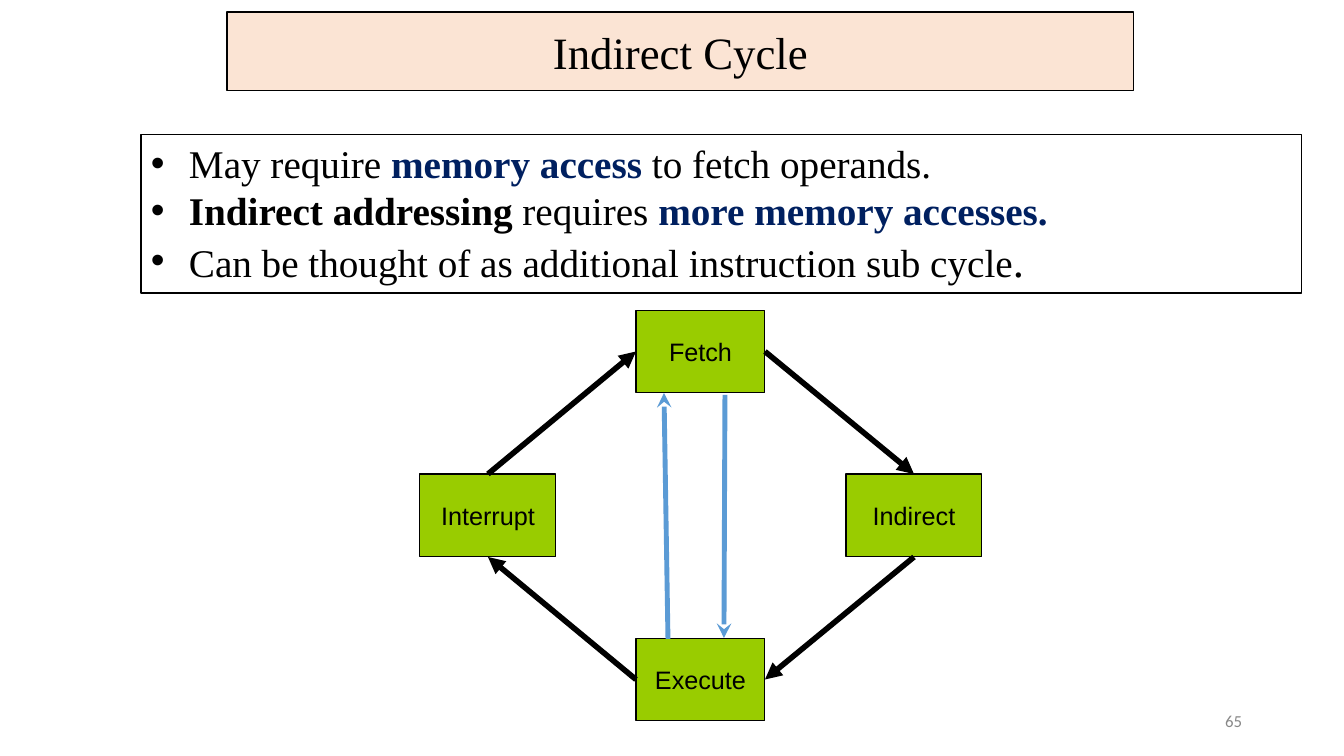
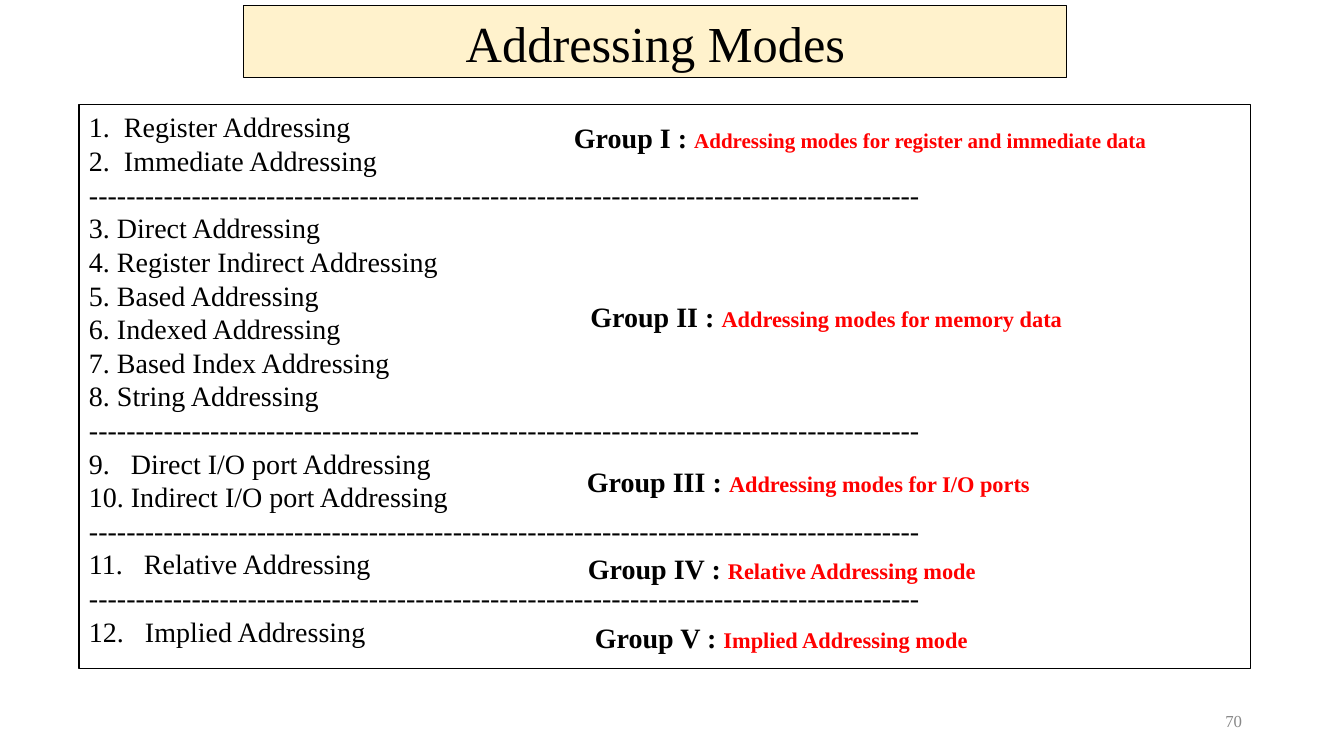
from dataclasses import dataclass
from typing import NamedTuple

from lxml.etree import SubElement
from pptx import Presentation
from pptx.dml.color import RGBColor
from pptx.enum.shapes import MSO_CONNECTOR as Connector, MSO_SHAPE as Shape
from pptx.enum.text import MSO_ANCHOR as Anchor, PP_ALIGN as Align
from pptx.oxml.ns import qn
from pptx.util import Emu, Pt

EMU_PER_PX = 914400 / 100.8
TOP, LEFT, BOTTOM, RIGHT = range(4)


@dataclass(frozen=True)
class Theme:
    ink: str = "000000"
    navy: str = "002060"
    red: str = "FF0000"
    grey: str = "888888"
    peach: str = "FBE4D4"
    cream: str = "FFF2CC"
    green: str = "99CC00"
    blue: str = "5B9BD5"
    serif: str = "Times New Roman"
    sans: str = "Arial"
    footer_font: str = "Calibri"
    bullet_size: int = 28
    list_size: int = 20
    node_size: int = 18
    footer_size: int = 12
    leading: float = 1.2
    outline: float = 0.75
    cycle_line: float = 4
    direct_line: float = 3.5


THEME = Theme()


class Box(NamedTuple):
    x: int
    y: int
    w: int
    h: int

    def inner(self, dx, dy, w, h):
        return Box(self.x + dx, self.y + dy, w, h)


@dataclass
class Style:
    size: int
    color: str = THEME.ink
    bold: bool = False
    font: str = THEME.serif


def px(length):
    return Emu(round(length * EMU_PER_PX))


def rgb(value):
    return RGBColor.from_string(value)


def write(paragraph, runs, align=Align.LEFT, margin=0, indent=0):
    """Fill a paragraph with (text, Style) runs; margin and indent are in px."""
    paragraph.alignment = align
    paragraph.line_spacing = Pt(THEME.leading * max(style.size for _, style in runs))
    for text, style in runs:
        run = paragraph.add_run()
        run.text = text
        run.font.name = style.font
        run.font.size = Pt(style.size)
        run.font.bold = style.bold
        run.font.color.rgb = rgb(style.color)
    properties = paragraph._p.get_or_add_pPr()
    properties.set("marL", str(px(margin)))
    properties.set("indent", str(px(indent)))
    return properties


def add_bullet(properties):
    SubElement(properties, qn("a:buFont"), typeface=THEME.sans)
    SubElement(properties, qn("a:buChar"), char="•")


def add_number(properties, start):
    SubElement(properties, qn("a:buFont"), typeface=THEME.serif)
    SubElement(properties, qn("a:buAutoNum"), type="arabicPeriod", startAt=str(start))


def next_paragraph(frame, index):
    return frame.add_paragraph() if index else frame.paragraphs[0]


def add_panel(slide, box, fill=None, anchor=Anchor.TOP):
    panel = slide.shapes.add_shape(Shape.RECTANGLE, *map(px, box))
    panel.shadow.inherit = False
    if fill:
        panel.fill.solid()
        panel.fill.fore_color.rgb = rgb(fill)
    else:
        panel.fill.background()
    panel.line.color.rgb = rgb(THEME.ink)
    panel.line.width = Pt(THEME.outline)
    panel.text_frame.word_wrap = True
    panel.text_frame.vertical_anchor = anchor
    return panel


def add_caption_panel(slide, box, text, fill, style):
    panel = add_panel(slide, box, fill, Anchor.MIDDLE)
    write(panel.text_frame.paragraphs[0], [(text, style)], Align.CENTER)
    return panel


def add_label(slide, box, runs, anchor=Anchor.TOP, **layout):
    frame = slide.shapes.add_textbox(*map(px, box)).text_frame
    frame.word_wrap = True
    frame.vertical_anchor = anchor
    write(frame.paragraphs[0], runs, **layout)


def add_page_number(slide, number, font):
    style = Style(THEME.footer_size, THEME.grey, font=font)
    add_label(slide, Box(950, 701, 302, 40), [(number, style)],
              Anchor.MIDDLE, align=Align.RIGHT)


def add_arrow(slide, ends, color, width, head):
    arrow = slide.shapes.add_connector(Connector.STRAIGHT, *map(px, ends))
    arrow.line.color.rgb = rgb(color)
    arrow.line.width = Pt(width)
    SubElement(arrow.line._get_or_add_ln(), qn("a:tailEnd"), type=head)
    SubElement(arrow._element.spPr, qn("a:effectLst"))
    return arrow


def add_operand_notes(slide, box):
    plain = Style(THEME.bullet_size)
    strong = Style(THEME.bullet_size, bold=True)
    key = Style(THEME.bullet_size, THEME.navy, True)
    notes = [
        [("May require ", plain), ("memory access ", key), ("to fetch operands.", plain)],
        [("Indirect addressing ", strong), ("requires ", plain),
         ("more memory accesses.", key)],
        [("Can be thought of as additional instruction sub cycle", plain),
         (".", Style(32))],
    ]
    frame = add_panel(slide, box).text_frame
    for index, runs in enumerate(notes):
        add_bullet(write(next_paragraph(frame, index), runs, Align.JUSTIFY, 38, -38))


def add_cycle_diagram(slide, box):
    """Four stages on a three by three grid, joined clockwise."""
    column, row, height = 213, 164, 83
    stages = {"Fetch": (1, 0, 129), "Indirect": (2, 1, 136),
              "Execute": (1, 2, 129), "Interrupt": (0, 1, 136)}
    style = Style(THEME.node_size, font=THEME.sans)
    nodes = {}
    for name, (col, line, width) in stages.items():
        place = box.inner(col * column + (136 - width) // 2, line * row, width, height)
        nodes[name] = add_caption_panel(slide, place, name, THEME.green, style)

    for source, source_side, target, target_side in (
            ("Fetch", RIGHT, "Indirect", TOP),
            ("Indirect", BOTTOM, "Execute", RIGHT),
            ("Execute", LEFT, "Interrupt", BOTTOM),
            ("Interrupt", TOP, "Fetch", LEFT)):
        step = add_arrow(slide, (0, 0, 0, 0), THEME.ink, THEME.cycle_line, "triangle")
        step.begin_connect(nodes[source], source_side)
        step.end_connect(nodes[target], target_side)

    for x1, y1, x2, y2 in ((248, 329, 244, 83), (305, 85, 304, 328)):
        ends = (box.x + x1, box.y + y1, box.x + x2, box.y + y2)
        add_arrow(slide, ends, THEME.blue, THEME.direct_line, "stealth")


def add_mode_list(slide, box):
    """Numbered modes with a dashed rule between groups."""
    groups = [  # number gap in px, modes
        (35, ["Register Addressing", "Immediate Addressing"]),
        (28, ["Direct Addressing", "Register Indirect Addressing", "Based Addressing",
              "Indexed Addressing", "Based Index Addressing", "String Addressing"]),
        (42, ["Direct I/O port Addressing", "Indirect I/O port Addressing"]),
        (55, ["Relative Addressing"]),
        (56, ["Implied Addressing"]),
    ]
    style = Style(THEME.list_size)
    frame = add_panel(slide, box).text_frame
    start = 1
    for index, (gap, modes) in enumerate(groups):
        if index:
            write(frame.add_paragraph(), [("-" * 89, style)])
        for offset, mode in enumerate(modes):
            paragraph = next_paragraph(frame, index + offset)
            add_number(write(paragraph, [(mode, style)], margin=gap, indent=-gap), start)
        start += len(modes)


def add_group_labels(slide, box):
    height = 44
    labels = [  # x, y, width, group, meaning, size, layout
        (485, 11, 613, "I", "Addressing modes for register and immediate data", 15, {}),
        (373, 190, 620, "II", "Addressing modes for memory data", 16,
         {"align": Align.RIGHT}),
        (498, 355, 523, "III", "Addressing modes for I/O ports", 16, {}),
        (485, 442, 509, "IV", "Relative Addressing mode", 16, {"margin": 14}),
        (485, 511, 591, "V", "Implied Addressing mode", 16, {"margin": 21}),
    ]
    for x, y, width, group, meaning, size, layout in labels:
        runs = [(f"Group {group} : ", Style(THEME.list_size, bold=True)),
                (meaning, Style(size, THEME.red, True))]
        add_label(slide, box.inner(x, y, width, height), runs, **layout)


def build_indirect_cycle(slide):
    add_page_number(slide, "65", THEME.footer_font)
    add_caption_panel(slide, Box(227, 12, 907, 79), "Indirect Cycle",
                      THEME.peach, Style(32))
    add_operand_notes(slide, Box(141, 134, 1161, 159))
    add_cycle_diagram(slide, Box(420, 310, 562, 411))


def build_addressing_modes(slide):
    modes = Box(79, 105, 1172, 564)
    add_caption_panel(slide, Box(244, 6, 823, 72), "Addressing Modes",
                      THEME.cream, Style(36))
    add_page_number(slide, "70", THEME.serif)
    add_mode_list(slide, modes)
    add_group_labels(slide, modes)


def main():
    deck = Presentation()
    deck.slide_width, deck.slide_height = px(1344), px(756)
    blank = deck.slide_layouts[6]
    for build in (build_indirect_cycle, build_addressing_modes):
        build(deck.slides.add_slide(blank))
    deck.save("out.pptx")


if __name__ == "__main__":
    main()
